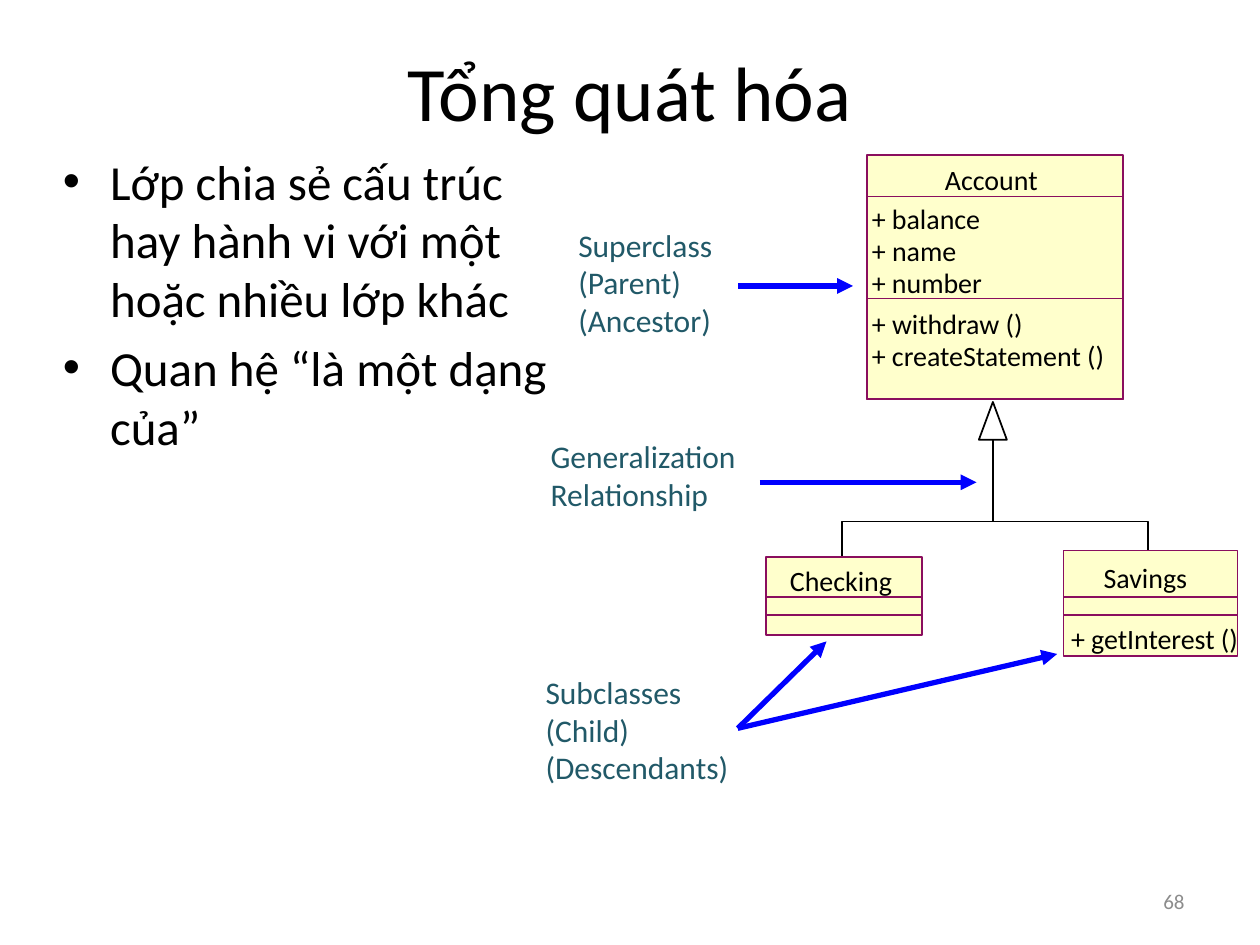
from dataclasses import dataclass

from lxml import etree
from pptx import Presentation
from pptx.dml.color import RGBColor
from pptx.enum.shapes import MSO_CONNECTOR, MSO_SHAPE
from pptx.enum.text import MSO_ANCHOR, PP_ALIGN
from pptx.oxml.ns import qn
from pptx.util import Pt

LEFT, CENTER, RIGHT = PP_ALIGN.LEFT, PP_ALIGN.CENTER, PP_ALIGN.RIGHT
TOP, MIDDLE = MSO_ANCHOR.TOP, MSO_ANCHOR.MIDDLE
STRAIGHT, RECT = MSO_CONNECTOR.STRAIGHT, MSO_SHAPE.RECTANGLE


@dataclass(frozen=True)
class Theme:
    font: str = "Calibri"
    ink: str = "000000"
    label: str = "215968"
    arrow: str = "0000FF"
    box_fill: str = "FFFFCC"
    box_line: str = "8A0E5E"
    muted: str = "8C8C8C"
    title_size: int = 44
    body_size: int = 28
    label_size: int = 18
    member_size: int = 16
    number_size: int = 12
    thin: int = 1
    thick: int = 3


T = Theme()


def set_attrs(obj, values):
    for name, value in values.items():
        setattr(obj, name, value)


def format_font(p, size, color):
    set_attrs(p.font, {"name": T.font, "size": Pt(size)})
    p.font.color.rgb = RGBColor.from_string(color)


def format_line(line, color, width):
    line.color.rgb = RGBColor.from_string(color)
    line.width = Pt(width)


def fill_text(tf, lines, size, color, align=LEFT, anchor=TOP, inset=(7.2, 3.6), wrap=True):
    x, y = (Pt(v) for v in inset)
    set_attrs(tf, {"word_wrap": wrap, "vertical_anchor": anchor,
                   "margin_left": x, "margin_right": x,
                   "margin_top": y, "margin_bottom": y})
    for i, line in enumerate(lines):
        p = tf.paragraphs[0] if i == 0 else tf.add_paragraph()
        set_attrs(p, {"text": line, "alignment": align})
        format_font(p, size, color)


def add_title(s, text, box):
    sp = s.shapes.title
    set_attrs(sp, dict(zip(("left", "top", "width", "height"), map(Pt, box))))
    fill_text(sp.text_frame, [text], T.title_size, T.ink, CENTER, MIDDLE)


def add_text(s, box, lines, size, color, **options):
    tf = s.shapes.add_textbox(*map(Pt, box)).text_frame
    fill_text(tf, lines, size, color, **options)
    return tf


def add_bullets(s, box, lines):
    tf = add_text(s, box, lines, T.body_size, T.ink)
    for i, p in enumerate(tf.paragraphs):
        pPr = p._p.get_or_add_pPr()
        pPr.set("marL", str(Pt(27)))
        pPr.set("indent", str(Pt(-27)))
        if i:
            p.space_before = Pt(T.body_size * 0.2)
        bullet_font = etree.Element(qn("a:buFont"), typeface="Arial")
        bullet = etree.Element(qn("a:buChar"), char="•")
        default = pPr.find(qn("a:defRPr"))
        for element in (bullet_font, bullet):
            default.addprevious(element)


def add_label(s, box, text):
    add_text(s, box, [text], T.label_size, T.label, inset=(8.64, 4.32))


def add_member(s, x, y, width, text):
    add_text(s, (x, y, width, 19.5), [text], T.member_size, T.ink, inset=(0, 0), wrap=False)


def add_rect(s, x, y, width, height):
    sp = s.shapes.add_shape(RECT, *map(Pt, (x, y, width, height)))
    sp.shadow.inherit = False
    sp.fill.solid()
    sp.fill.fore_color.rgb = RGBColor.from_string(T.box_fill)
    format_line(sp.line, T.box_line, T.thin)


def add_line(s, start, end, color, width=T.thin, arrow=False):
    cx = s.shapes.add_connector(STRAIGHT, *map(Pt, start + end))
    format_line(cx.line, color, width)
    if arrow:
        etree.SubElement(cx.line._get_or_add_ln(), qn("a:tailEnd"), type="triangle")
    etree.SubElement(cx._element.spPr, qn("a:effectLst"))


def add_outline(s, points, close):
    start, *rest = [tuple(map(Pt, point)) for point in points]
    builder = s.shapes.build_freeform(*start)
    builder.add_line_segments(rest, close=close)
    sp = builder.convert_to_shape()
    sp.shadow.inherit = False
    sp.fill.background()
    format_line(sp.line, T.ink, T.thin)


def add_superclass(s):
    x, width, bottom = 495.4, 146.2, 228.2
    for y in (88.6, 112.3, 170.6):
        add_rect(s, x, y, width, bottom - y)
    add_member(s, 540, 92.9, 53.3, "Account")
    for top, members in ((115.2, (("+ balance", 62.6), ("+ name", 49), ("+ number", 64))),
                         (175.4, (("+ withdraw ()", 87.1), ("+ createStatement ()", 134.6)))):
        for i, (text, text_width) in enumerate(members):
            add_member(s, 498.2, top + 18.3 * i, text_width, text)


def add_subclass(s, box, name, name_at, name_width):
    x, _, width, _ = box
    add_rect(s, *box)
    for y in (341.3, 351.4):
        add_line(s, (x, y), (x + width, y), T.box_line)
    add_member(s, *name_at, name_width, name)


def add_generalization(s):
    x, bar = 567.4, 298
    add_outline(s, ((x, 229.7), (x + 8, 251.3), (x - 8, 251.3)), close=True)
    add_line(s, (x, 251.3), (x, bar), T.ink)


def main():
    prs = Presentation()
    prs.slide_width, prs.slide_height = Pt(720), Pt(540)
    s = prs.slides.add_slide(prs.slide_layouts[5])

    add_outline(s, ((481.2, 320.4), (481.2, 298), (656, 298), (656, 318.2)), close=False)
    add_title(s, "Tổng quát hóa", (36, 21.6, 648, 60.5))
    add_bullets(s, (28.8, 82.8, 303.1, 397.4),
                ["Lớp chia sẻ cấu trúc hay hành vi với một hoặc nhiều lớp khác",
                 "Quan hệ “là một dạng của”"])

    add_label(s, (321.8, 124.6, 106.6, 73.4), "Superclass (Parent) (Ancestor)")
    add_label(s, (306, 245.5, 136.1, 51.8), "Generalization Relationship")
    add_label(s, (303.1, 380.2, 141.8, 73.4), "Subclasses (Child) (Descendants)")
    for start, end in (((434.2, 275.6), (558, 275.6)), ((421.9, 163.4), (487.4, 163.4)),
                       ((421.6, 416.2), (472.3, 366.5)), ((421.6, 416.2), (604.1, 373.7))):
        add_line(s, start, end, T.arrow, T.thick, arrow=True)

    add_superclass(s)
    add_subclass(s, (437.8, 318.2, 89.3, 44.6), "Checking", (451.4, 321.8), 59)
    add_subclass(s, (607.7, 314.6, 99.4, 60.5), "Savings", (630.7, 320.4), 48.2)
    add_member(s, 612, 355, 97.2, "+ getInterest ()")
    add_generalization(s)

    add_text(s, (516.2, 500.4, 167.8, 28.8), ["68"], T.number_size, T.muted,
             align=RIGHT, anchor=MIDDLE)
    prs.save("out.pptx")


if __name__ == "__main__":
    main()
